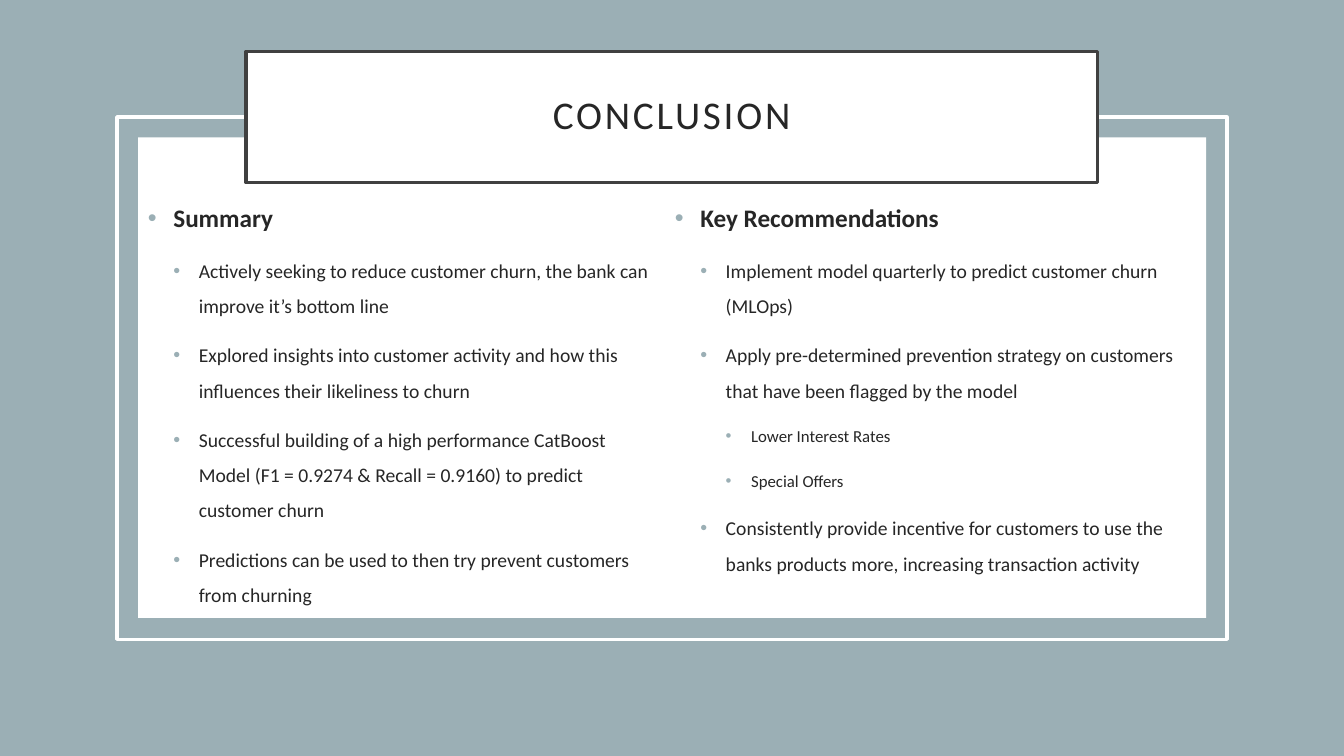
from lxml.etree import SubElement
from pptx import Presentation
from pptx.dml.color import RGBColor
from pptx.enum.shapes import MSO_SHAPE as Shape
from pptx.enum.text import MSO_ANCHOR as Anchor, PP_ALIGN as Align
from pptx.oxml.ns import qn
from pptx.util import Cm, Pt

TITLE = "CONCLUSION"
SUMMARY = [
    (0, "Summary"),
    (1, "Actively seeking to reduce customer churn, the bank can improve it’s bottom line"),
    (1, "Explored insights into customer activity and how this influences their likeliness to churn"),
    (1, "Successful building of a high performance CatBoost Model (F1 = 0.9274 & Recall = 0.9160) "
        "to predict customer churn"),
    (1, "Predictions can be used to then try prevent customers from churning"),
]
RECOMMENDATIONS = [
    (0, "Key Recommendations"),
    (1, "Implement model quarterly to predict customer churn (MLOps)"),
    (1, "Apply pre-determined prevention strategy on customers that have been flagged by the model"),
    (2, "Lower Interest Rates"),
    (2, "Special Offers"),
    (1, "Consistently provide incentive for customers to use the banks products more, "
        "increasing transaction activity"),
]
COLORS = {"backdrop": "9BAFB5", "paper": "FFFFFF", "border": "404040", "text": "262626"}
FONT = "Calibri"
LEVEL_SIZES = [18, 14, 12]
INDENT = Cm(0.64)
WIDTH, HEIGHT = 33.87, 19.05
COLUMN_TOP, COLUMN_WIDTH, COLUMN_HEIGHT = 4.6, 13.46, 10.97
COLUMNS = [(3.48, SUMMARY), (16.76, RECOMMENDATIONS)]


def color(name):
    return RGBColor.from_string(COLORS[name])


def add_panel(slide, left, top, width, height, fill=None, line=None):
    shape = slide.shapes.add_shape(Shape.RECTANGLE, Cm(left), Cm(top), Cm(width), Cm(height))
    shape.shadow.inherit = False
    if fill:
        shape.fill.solid()
        shape.fill.fore_color.rgb = color(fill)
    else:
        shape.fill.background()
    if line:
        shape.line.color.rgb = color(line)
        shape.line.width = Pt(2.5)
    else:
        shape.line.fill.background()
    return shape


def add_bullet(paragraph, level):
    properties = paragraph._p.get_or_add_pPr()
    properties.set("marL", str(INDENT * (level + 1)))
    properties.set("indent", str(-INDENT))
    bullet_color = SubElement(properties, qn("a:buClr"))
    SubElement(bullet_color, qn("a:srgbClr"), val=COLORS["backdrop"])
    SubElement(properties, qn("a:buFont"), typeface="Arial")
    SubElement(properties, qn("a:buChar"), char="•")


def write(paragraph, text, size, bold=False, align=Align.LEFT, line_spacing=1.0, before=0, tracking=0):
    paragraph.alignment = align
    paragraph.line_spacing = line_spacing
    paragraph.space_before = Pt(before)
    run = paragraph.add_run()
    run.text = text
    run.font.name = FONT
    run.font.size = Pt(size)
    run.font.bold = bold
    run.font.color.rgb = color("text")
    if tracking:
        run.font._element.set("spc", str(tracking * 100))


def add_column(slide, left, items):
    box = slide.shapes.add_textbox(Cm(left), Cm(COLUMN_TOP), Cm(COLUMN_WIDTH), Cm(COLUMN_HEIGHT))
    frame = box.text_frame
    frame.word_wrap = True
    for index, (level, text) in enumerate(items):
        paragraph = frame.add_paragraph() if index else frame.paragraphs[0]
        paragraph.level = level
        add_bullet(paragraph, level)
        write(paragraph, text, LEVEL_SIZES[level], bold=level == 0,
              line_spacing=1.5, before=10 if index else 0)


def main():
    """Build the conclusion slide and save it."""
    presentation = Presentation()
    presentation.slide_width, presentation.slide_height = Cm(WIDTH), Cm(HEIGHT)
    slide = presentation.slides.add_slide(presentation.slide_layouts[6])

    add_panel(slide, 0, 0, WIDTH, HEIGHT, fill="backdrop")
    add_panel(slide, 3.48, 3.46, 26.92, 12.11, fill="paper")
    add_panel(slide, 2.95, 2.95, 27.97, 13.16, line="paper")

    title = add_panel(slide, 6.2, 1.3, 21.46, 3.3, fill="paper", line="border")
    frame = title.text_frame
    frame.word_wrap = True
    frame.vertical_anchor = Anchor.MIDDLE
    frame.margin_left = frame.margin_right = frame.margin_top = frame.margin_bottom = Cm(0.5)
    write(frame.paragraphs[0], TITLE, 28, align=Align.CENTER, line_spacing=0.9, tracking=2)

    for left, items in COLUMNS:
        add_column(slide, left, items)
    presentation.save("out.pptx")


if __name__ == "__main__":
    main()
